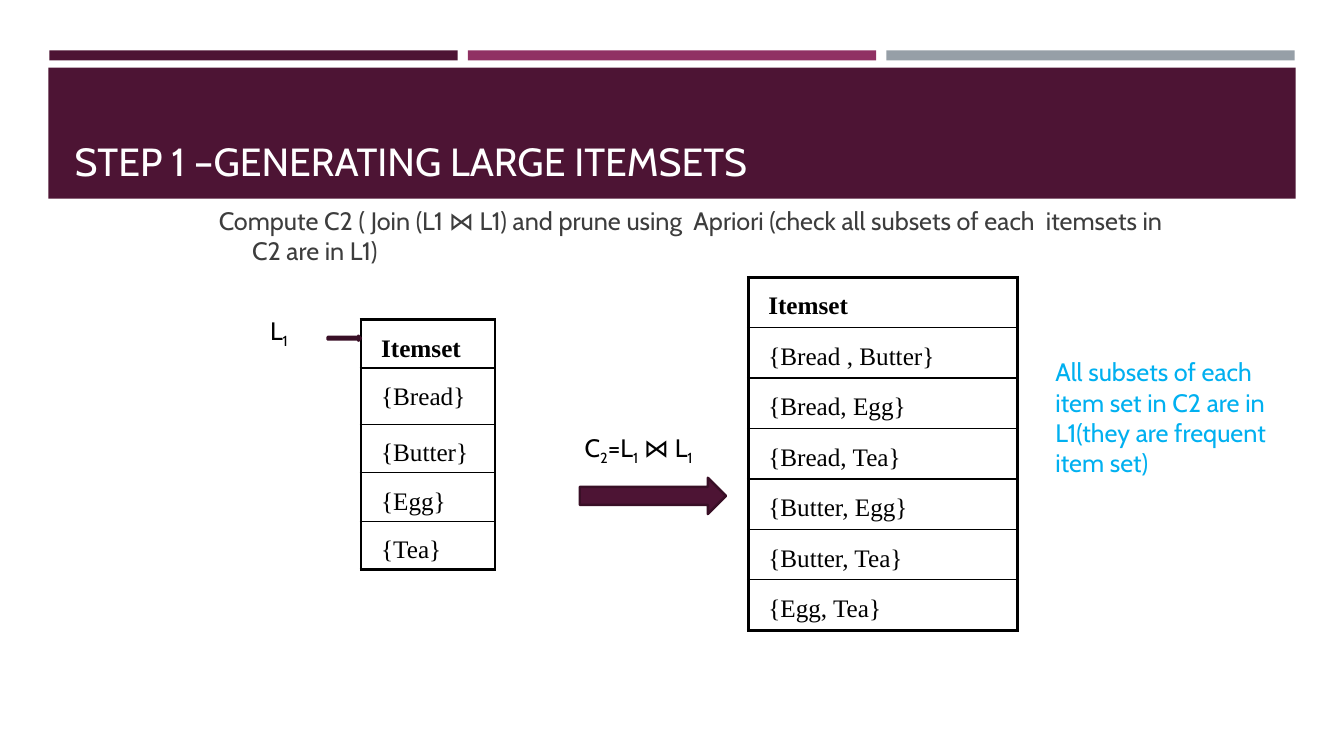
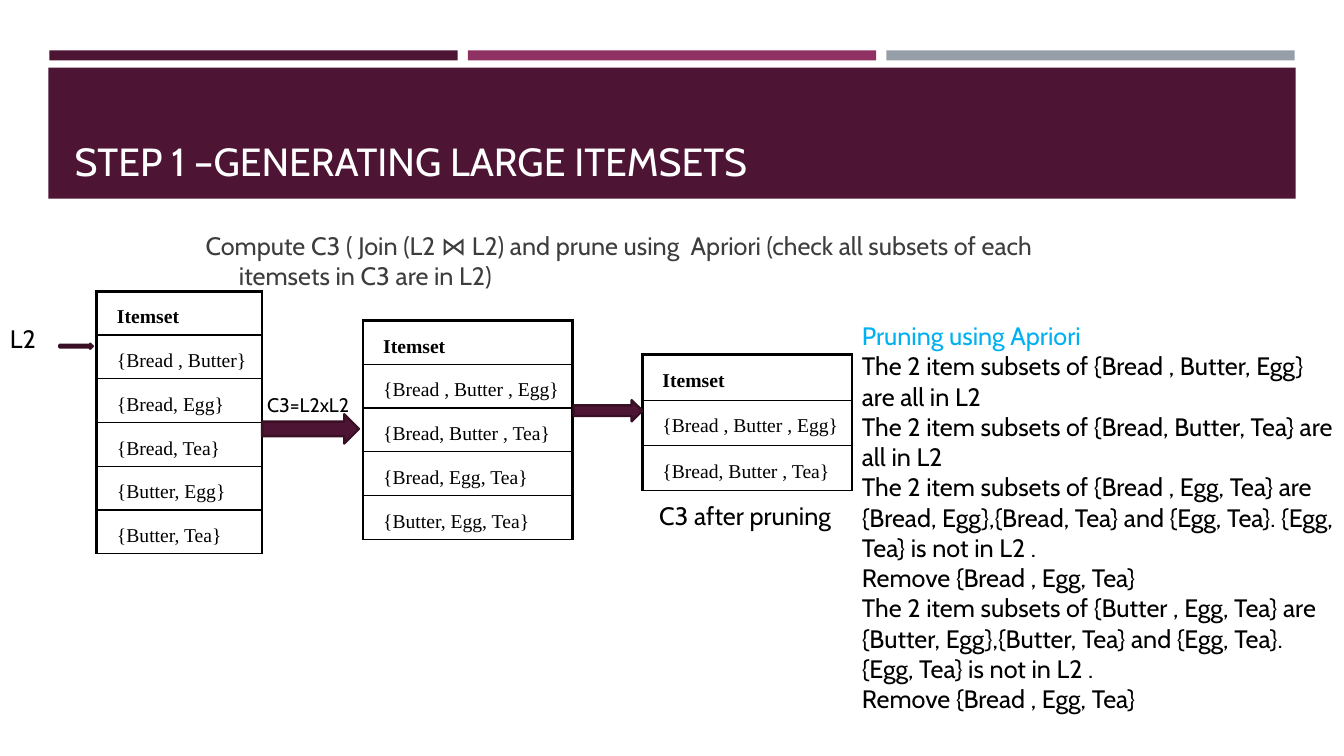
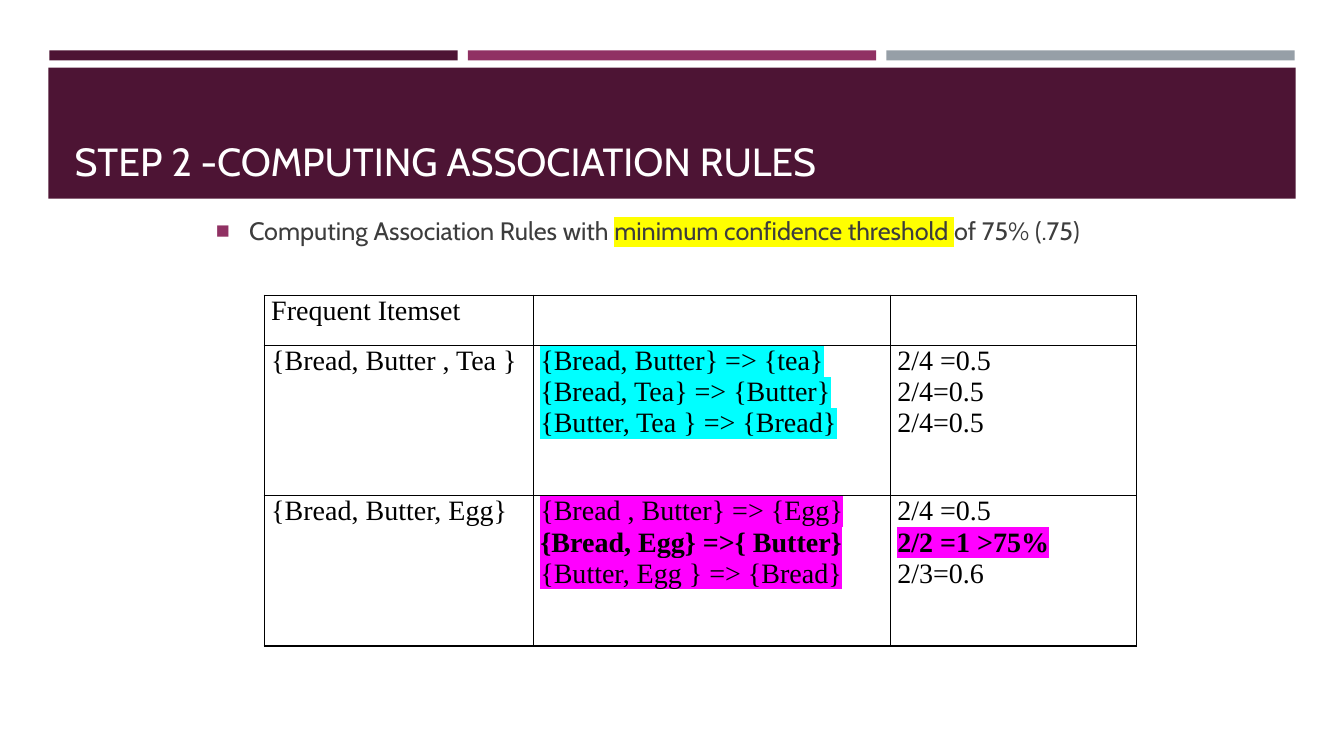
from lxml import etree
from pptx import Presentation
from pptx.dml.color import RGBColor
from pptx.enum import shapes, text
from pptx.oxml import ns
from pptx.util import Inches, Pt

PLUM = RGBColor(0x4D, 0x14, 0x34)
DARK_PLUM = RGBColor(0x39, 0x0F, 0x26)
MAGENTA = RGBColor(0x90, 0x31, 0x63)
GREY = RGBColor(0x96, 0x9F, 0xA7)
CHARCOAL = RGBColor(0x3D, 0x3D, 0x3D)
BLACK = RGBColor(0x00, 0x00, 0x00)
WHITE = RGBColor(0xFF, 0xFF, 0xFF)
BLUE = RGBColor(0x00, 0xB0, 0xF0)
YELLOW = RGBColor(0xFF, 0xFF, 0x00)
CYAN = RGBColor(0x00, 0xFF, 0xFF)
FUCHSIA = RGBColor(0xFF, 0x00, 0xFF)

TITLE = {"size": Pt(28), "name": "Cabin", "color": WHITE}
BODY = {"size": Pt(18), "name": "Cabin", "color": CHARCOAL}
LABEL = {**BODY, "color": BLACK}
SMALL_LABEL = {**LABEL, "size": Pt(14)}
NOTE = {**BODY, "color": BLUE}
ITEM = {"size": Pt(18), "name": "Times New Roman", "color": BLACK, "bold": False}
SMALL_ITEM = {**ITEM, "size": Pt(14)}
RULE = {**ITEM, "size": Pt(20)}
SUB = {"baseline": "-25000"}

THIN, THICK = Pt(1), Pt(2.25)
ITEM_MARGINS = (0.1, 0.15, 0.1, 0.05)
RULE_MARGINS = (0.07, 0, 0.07, 0)
SIDES = ("left", "top", "width", "height")


def set_all(target, values):
    for name, value in values.items():
        setattr(target, name, value)


def inches(box):
    return [Inches(length) for length in box]


def add_element(parent, tag, **attributes):
    element = etree.SubElement(parent, ns.qn(tag))
    for name, value in attributes.items():
        element.set(name, str(value))
    return element


def write_span(para, words, style):
    span = para.add_run()
    span.text = words
    values = dict(style)
    color = values.pop("color")
    highlight = values.pop("highlight", None)
    baseline = values.pop("baseline", None)
    set_all(span.font, values)
    span.font.color.rgb = color
    properties = span.font._element
    if baseline:
        properties.set("baseline", baseline)
    if highlight is not None:
        mark = add_element(properties, "a:highlight")
        add_element(mark, "a:srgbClr", val=highlight)
        properties.find(ns.qn("a:latin")).addprevious(mark)


def write_paras(frame, paras, style):
    for index, spans in enumerate(paras):
        para = frame.paragraphs[0] if index == 0 else frame.add_paragraph()
        for words, changes in [(spans, {})] if isinstance(spans, str) else spans:
            write_span(para, words, {**style, **changes})


def add_label(page, box, paras, style):
    label = page.shapes.add_textbox(*inches(box))
    set_all(label.text_frame, {"word_wrap": True,
                               "auto_size": text.MSO_AUTO_SIZE.SHAPE_TO_FIT_TEXT})
    write_paras(label.text_frame, paras, style)


def add_solid(page, kind, box, fill):
    solid = page.shapes.add_shape(kind, *inches(box))
    solid.shadow.inherit = False
    solid.fill.solid()
    solid.fill.fore_color.rgb = fill
    solid.line.fill.background()
    return solid


def add_arrow(page, box):
    arrow = add_solid(page, shapes.MSO_SHAPE.RIGHT_ARROW, box, PLUM)
    arrow.line.color.rgb = DARK_PLUM
    arrow.line.width = Pt(1.75)


def style_layout(layout, page):
    bars = [((0.49 + 4.15 * index, 0.5, 4.05, 0.1), color)
            for index, color in enumerate((PLUM, MAGENTA, GREY))]
    bands = bars + [((0.48, 0.67, 12.37, 1.3), PLUM)]
    for index, (box, color) in enumerate(bands):
        band = add_solid(page, shapes.MSO_SHAPE.RECTANGLE, box, color)
        band.element.nvSpPr.cNvPr.id = 20 + index
        layout.shapes.element.insert(2 + index, band.element)
    set_all(layout.placeholders[0], dict(zip(SIDES, inches((0.64, 0.77, 12.06, 1.11)))))


def fill_title(page, words):
    frame = page.shapes.title.text_frame
    set_all(frame, {"vertical_anchor": text.MSO_ANCHOR.BOTTOM, "word_wrap": True,
                    "auto_size": text.MSO_AUTO_SIZE.NONE})
    write_paras(frame, [words], TITLE)
    frame.paragraphs[0].alignment = text.PP_ALIGN.LEFT


def fill_body(page, box, spans, bullet=False):
    body = page.placeholders[1]
    set_all(body, dict(zip(SIDES, inches(box))))
    frame = body.text_frame
    set_all(frame, {"vertical_anchor": text.MSO_ANCHOR.MIDDLE, "word_wrap": True,
                    "auto_size": text.MSO_AUTO_SIZE.NONE})
    para = frame.paragraphs[0]
    properties = para._p.get_or_add_pPr()
    properties.set("marL", str(Inches(0.33)))
    properties.set("indent", str(-Inches(0.33)))
    if bullet:
        add_element(add_element(properties, "a:buClr"), "a:srgbClr", val=MAGENTA)
        add_element(properties, "a:buSzPct", val=92000)
        add_element(properties, "a:buChar", char="■")
    else:
        add_element(properties, "a:buNone")
    set_all(para, {"space_before": Pt(0), "space_after": Pt(6)})
    write_paras(frame, [spans], BODY)


def format_cell(cell, margins, borders):
    names = ("margin_left", "margin_top", "margin_right", "margin_bottom")
    set_all(cell, dict(zip(names, inches(margins))))
    properties = cell._tc.get_or_add_tcPr()
    for side, width in zip("LRTB", borders):
        line = add_element(properties, "a:ln" + side, w=int(width))
        add_element(add_element(line, "a:solidFill"), "a:srgbClr", val=BLACK)
    cell.fill.background()


def add_grid(page, left, top, widths, heights):
    box = inches((left, top, sum(widths), sum(heights)))
    grid = page.shapes.add_table(len(heights), len(widths), *box).table
    set_all(grid, {"first_row": False, "horz_banding": False})
    for column, width in zip(grid.columns, widths):
        column.width = Inches(width)
    for row, height in zip(grid.rows, heights):
        row.height = Inches(height)
    return grid


def add_itemsets(page, left, top, width, heights, itemsets, style, bottom=THIN):
    grid = add_grid(page, left, top, [width], heights)
    last = len(itemsets)
    for index, words in enumerate(["Itemset", *itemsets]):
        cell = grid.cell(index, 0)
        borders = (THICK, THICK, THIN if index else THICK,
                   bottom if index == last else THIN)
        format_cell(cell, ITEM_MARGINS, borders)
        write_paras(cell.text_frame, [words], {**style, "bold": index == 0})
        cell.text_frame.paragraphs[0]._p.get_or_add_pPr().set("marL", str(Inches(0.1)))


def add_source_tag(page, box, spans):
    left, top, width, height = box
    add_label(page, (left, top, 0.5, height), [spans], LABEL)
    add_arrow(page, (left + width - 0.33, top + 0.25, 0.33, 0.05))


def add_join(page, box, spans, style, rise, label_width):
    left, top, width, height = box
    add_label(page, (left - 0.05, top - rise, label_width, 0.4), [spans], style)
    add_arrow(page, box)


def add_rules(page, left, top, rows):
    grid = add_grid(page, left, top, (2.67, 3.54, 2.44), (0.5, 1.49, 1.49))
    for row, cells in enumerate(rows):
        for column, paras in enumerate(cells):
            cell = grid.cell(row, column)
            format_cell(cell, RULE_MARGINS, [THIN] * 4)
            write_paras(cell.text_frame, paras, RULE)


def build_pairs(page):
    fill_title(page, "STEP 1 –GENERATING LARGE ITEMSETS")
    fill_body(page, (2.07, 1.5, 9.57, 1.67),
              "Compute C2 ( Join (L1 ⋈ L1) and prune using  Apriori "
              "(check all subsets of each  itemsets in C2 are in L1)")
    add_itemsets(page, 3.58, 3.17, 1.33, [0.48, 0.56, 0.48, 0.48, 0.48],
                 ["{Bread}", "{Butter}", "{Egg}", "{Tea}"], ITEM, THICK)
    add_source_tag(page, (2.58, 3.08, 1, 0.4), [("L", {}), ("1", SUB)])
    add_join(page, (5.75, 4.74, 1.45, 0.36),
             [("C", {}), ("2", SUB), ("=L", {}), ("1", SUB), (" ⋈ L", {}), ("1", SUB)],
             LABEL, 0.5, 1.5)
    add_itemsets(page, 7.42, 2.75, 2.67, [0.48] * 7,
                 ["{Bread , Butter}", "{Bread, Egg}", "{Bread, Tea}",
                  "{Butter, Egg}", "{Butter, Tea}", "{Egg, Tea}"], ITEM, THICK)
    add_label(page, (10.37, 3.49, 2.33, 1.31),
              ["All subsets of each item set in C2 are in L1(they are frequent item set)"],
              NOTE)


def build_triples(page):
    fill_title(page, "STEP 1 –GENERATING LARGE ITEMSETS")
    fill_body(page, (1.94, 1.75, 9, 1.67),
              "Compute C3 ( Join (L2 ⋈ L2) and prune using  Apriori "
              "(check all subsets of each  itemsets in C3 are in L2)")
    add_source_tag(page, (0, 3.16, 0.92, 0.4), "L2")
    add_itemsets(page, 0.96, 2.89, 1.64, [0.41] + [0.38] * 5,
                 ["{Bread , Butter}", "{Bread, Egg}", "{Bread, Tea}",
                  "{Butter, Egg}", "{Butter, Tea}"], SMALL_ITEM)
    add_join(page, (2.6, 4.11, 0.96, 0.29), "C3=L2xL2", SMALL_LABEL, 0.26, 1.59)
    kept = ["{Bread , Butter , Egg}", "{Bread, Butter , Tea}"]
    add_itemsets(page, 3.6, 3.18, 2.08, [0.38] * 5,
                 kept + ["{Bread, Egg, Tea}", "{Butter, Egg, Tea}"], SMALL_ITEM)
    add_itemsets(page, 6.37, 3.52, 2.08, [0.45] * 3, kept, SMALL_ITEM)
    add_arrow(page, (5.69, 3.97, 0.68, 0.21))
    add_label(page, (6.44, 4.91, 1.94, 0.4), ["C3 after pruning"], LABEL)
    add_label(page, (8.45, 3.13, 4.88, 4.04), [
        [("Pruning using Apriori", NOTE)],
        "The 2 item subsets of {Bread , Butter, Egg} are all in L2",
        "The 2 item subsets of {Bread, Butter, Tea} are all in L2",
        "The 2 item subsets of {Bread , Egg, Tea} are {Bread, Egg},{Bread, Tea} "
        "and {Egg, Tea}. {Egg, Tea} is not in L2 .",
        "Remove {Bread , Egg, Tea}",
        "The 2 item subsets of {Butter , Egg, Tea} are {Butter, Egg},{Butter, Tea} "
        "and {Egg, Tea}. {Egg, Tea} is not in L2 .",
        "Remove {Bread , Egg, Tea}",
    ], LABEL)


def build_rules(page):
    fill_title(page, "STEP 2 -COMPUTING ASSOCIATION RULES")
    fill_body(page, (2.04, 2.02, 9, 0.54),
              [("Computing Association Rules with ", {}),
               ("minimum confidence threshold ", {"highlight": YELLOW}),
               ("of 75% (.75)", {})], bullet=True)
    weak = {"highlight": CYAN}
    marked = {"highlight": FUCHSIA}
    strong = {**marked, "bold": True}
    add_rules(page, 2.62, 2.93, [
        (["Frequent Itemset"], [], []),
        (["{Bread, Butter , Tea }"],
         [[("{Bread, Butter} => {tea}", weak)],
          [("{Bread, Tea} => {Butter}", weak)],
          [("{Butter, Tea } => {Bread}", weak)]],
         ["2/4 =0.5", "2/4=0.5", "2/4=0.5"]),
        (["{Bread, Butter, Egg}"],
         [[("{Bread , Butter} => {Egg}", marked)],
          [("{Bread, Egg} =>{ Butter}", strong)],
          [("{Butter, Egg } => {Bread}", marked)]],
         ["2/4 =0.5", [("2/2 =1 >75%", strong)], "2/3=0.6"]),
    ])


def main():
    deck = Presentation()
    set_all(deck, {"slide_width": Inches(13.33), "slide_height": Inches(7.5)})
    layout = deck.slide_layouts[1]
    builders = (build_pairs, build_triples, build_rules)
    pages = [deck.slides.add_slide(layout) for _ in builders]
    style_layout(layout, pages[0])
    for build, page in zip(builders, pages):
        build(page)
    deck.save("out.pptx")


if __name__ == "__main__":
    main()
